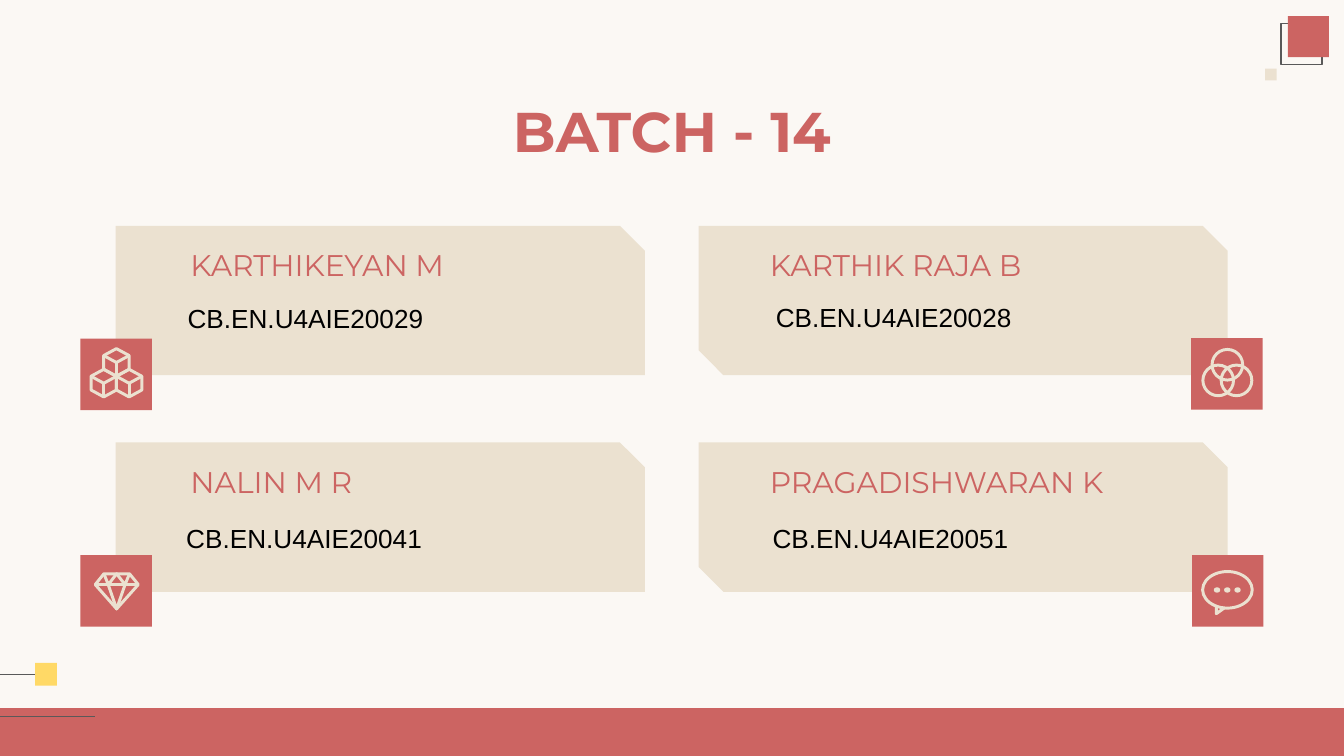
"""Build the team slide: four member cards with icon badges."""
from dataclasses import dataclass
from typing import Any, Callable

from lxml.etree import SubElement
from pptx import Presentation
from pptx.dml.color import RGBColor
from pptx.enum.shapes import MSO_CONNECTOR as CONN, MSO_SHAPE as SHAPE
from pptx.enum.text import MSO_ANCHOR as ANCHOR, MSO_AUTO_SIZE as AUTO, PP_ALIGN as ALIGN
from pptx.oxml.ns import qn
from pptx.util import Pt

RED, SAND, CREAM = "CC6462", "EBE1D0", "FBF8F4"
GREY, YELLOW, BLACK = "595959", "FFD966", "000000"
CARD_W, CARD_H, BADGE = 283.5, 80, 38.3
STROKE = 1.6

Point = tuple[float, float]


@dataclass(frozen=True)
class Box:
    x: float
    y: float
    w: float
    h: float


@dataclass(frozen=True)
class Member:
    name: str
    roll: str
    card: Point
    badge: Point
    name_x: float
    roll_box: Box
    roll_format: dict[str, Any]
    icon: Callable[[Any, Point], None]


def rgb(color: str) -> RGBColor:
    """Turn a hex string into a colour."""
    return RGBColor.from_string(color)


def paint(sp: Any, fill: str | None = None, line: str | None = None, width: float = 0.75) -> None:
    """Set the fill and outline of a shape and drop its shadow."""
    sp.shadow.inherit = False
    if fill:
        sp.fill.solid()
        sp.fill.fore_color.rgb = rgb(fill)
    else:
        sp.fill.background()
    if line:
        sp.line.color.rgb = rgb(line)
        sp.line.width = Pt(width)
    else:
        sp.line.fill.background()


def add_shape(s: Any, kind: SHAPE, box: Box, fill: str | None = None,
              line: str | None = None, width: float = 0.75) -> Any:
    """Add a preset shape."""
    sp = s.shapes.add_shape(kind, Pt(box.x), Pt(box.y), Pt(box.w), Pt(box.h))
    paint(sp, fill, line, width)
    return sp


def add_line(s: Any, x1: float, x2: float, y: float) -> Any:
    """Add a thin horizontal line."""
    cn = s.shapes.add_connector(CONN.STRAIGHT, Pt(x1), Pt(y), Pt(x2), Pt(y))
    cn.line.color.rgb = rgb(GREY)
    cn.line.width = Pt(0.75)
    SubElement(cn._element.spPr, qn("a:effectLst"))
    return cn


def add_stroke(s: Any, origin: Point, points: list[Point], close: bool = False) -> None:
    """Add an unfilled outline through points given from the badge corner."""
    pts = [(Pt(origin[0] + x), Pt(origin[1] + y)) for x, y in points]
    fb = s.shapes.build_freeform(*pts[0])
    fb.add_line_segments(pts[1:], close=close)
    paint(fb.convert_to_shape(), line=SAND, width=STROKE)


def add_oval(s: Any, origin: Point, center: Point, rx: float, ry: float, solid: bool = False) -> None:
    """Add a ring or a dot centred at a point given from the badge corner."""
    box = Box(origin[0] + center[0] - rx, origin[1] + center[1] - ry, 2 * rx, 2 * ry)
    add_shape(s, SHAPE.OVAL, box, SAND if solid else None, None if solid else SAND, STROKE)


def draw_cubes(s: Any, o: Point) -> None:
    """Draw three stacked cubes."""
    w, r = 6.8, 7.4
    for cx, cy in ((19.3, 12.8), (19.3 - w, 12.8 + 1.5 * r), (19.3 + w, 12.8 + 1.5 * r)):
        hexagon = [(0, -r), (w, -r / 2), (w, r / 2), (0, r), (-w, r / 2), (-w, -r / 2)]
        add_stroke(s, o, [(cx + x, cy + y) for x, y in hexagon], close=True)
        add_stroke(s, o, [(cx - w, cy - r / 2), (cx, cy), (cx + w, cy - r / 2)])
        add_stroke(s, o, [(cx, cy), (cx, cy + r)])


def draw_rings(s: Any, o: Point) -> None:
    """Draw three overlapping rings."""
    for center in ((19.4, 14.2), (14.5, 22.6), (24.3, 22.6)):
        add_oval(s, o, center, 8.2, 8.2)


def draw_diamond(s: Any, o: Point) -> None:
    """Draw a cut diamond."""
    left, right, tip = (7.9, 15.8), (31, 15.8), (19.4, 28.8)
    top_left, top_right = (12.6, 10), (26.3, 10)
    inner_left, inner_right = (14.9, 15.8), (23.9, 15.8)
    add_stroke(s, o, [top_left, top_right, right, tip, left], close=True)
    add_stroke(s, o, [left, right])
    add_stroke(s, o, [top_left, inner_left, (19.4, 10), inner_right, top_right])
    add_stroke(s, o, [inner_left, tip, inner_right])


def draw_bubble(s: Any, o: Point) -> None:
    """Draw a speech bubble with three dots."""
    add_oval(s, o, (19, 18.6), 13.3, 9.8)
    add_stroke(s, o, [(13, 27.2), (13, 31.4), (17.4, 28.3)])
    for i in range(3):
        add_oval(s, o, (13.4 + 5.5 * i, 18.7), 1.7, 1.45, solid=True)


def set_text(sp: Any, text: str, size: float, font: str, color: str,
             anchor: ANCHOR, bold: bool = False, **para: Any) -> None:
    """Write one formatted paragraph into a shape."""
    tf = sp.text_frame
    frame = {"word_wrap": True, "auto_size": AUTO.NONE, "vertical_anchor": anchor}
    frame |= {f"margin_{side}": Pt(7.2) for side in ("left", "top", "right", "bottom")}
    p = tf.paragraphs[0]
    r = p.add_run()
    r.text = text
    r.font.color.rgb = rgb(color)
    style = {"size": Pt(size), "name": font, "bold": bold}
    for target, values in ((tf, frame), (p, para), (r.font, style)):
        for key, value in values.items():
            setattr(target, key, value)


def add_text(s: Any, box: Box, *args: Any, **para: Any) -> None:
    """Add a text box holding one paragraph."""
    set_text(s.shapes.add_textbox(Pt(box.x), Pt(box.y), Pt(box.w), Pt(box.h)), *args, **para)


def add_member(s: Any, m: Member) -> None:
    """Draw one card with its badge, icon, name and roll number."""
    add_shape(s, SHAPE.SNIP_2_DIAG_RECTANGLE, Box(*m.card, CARD_W, CARD_H), SAND)
    add_shape(s, SHAPE.RECTANGLE, Box(*m.badge, BADGE, BADGE), RED)
    m.icon(s, m.badge)
    add_text(s, Box(m.name_x, m.card[1] + 9.6, 257, 28), m.name, 16, "Montserrat", RED, ANCHOR.BOTTOM)
    add_text(s, m.roll_box, m.roll, 14, "Arial", BLACK, ANCHOR.TOP, **m.roll_format)


def add_decor(s: Any) -> None:
    """Draw the footer band and the corner ornaments."""
    add_shape(s, SHAPE.RECTANGLE, Box(0, 379.4, 720, 25.6), RED)
    add_shape(s, SHAPE.RECTANGLE, Box(686.3, 12.5, 22, 22), line=GREY)
    add_shape(s, SHAPE.RECTANGLE, Box(690, 8.7, 22, 22), RED)
    add_shape(s, SHAPE.RECTANGLE, Box(677.7, 36.8, 6.3, 6.3), SAND)
    square = add_shape(s, SHAPE.RECTANGLE, Box(18.8, 355.2, 11.7, 12.2), YELLOW)
    add_line(s, 0, 18.8, 361.3).end_connect(square, 1)
    add_line(s, 0, 51, 383.8)


CENTER = {"alignment": ALIGN.CENTER}
LOOSE = {"alignment": ALIGN.LEFT, "line_spacing": 1.15}
COL_1, COL_2, ROW_1, ROW_2 = 62, 374.2, 121, 237.1
MEMBERS = [
    Member("KARTHIKEYAN M", "CB.EN.U4AIE20029", (COL_1, ROW_1), (43.1, 181.4), 95,
           Box(35.2, 154.8, 257, 54.7), CENTER, draw_cubes),
    Member("KARTHIK RAJA B", "CB.EN.U4AIE20028", (COL_2, ROW_1), (638.1, 181.2), 405.4,
           Box(366.5, 154.1, 224.6, 54.7), CENTER, draw_rings),
    Member("NALIN M R", "CB.EN.U4AIE20041", (COL_1, ROW_2), (43.1, 297.4), 95,
           Box(92.7, 270, 257, 54.7), LOOSE, draw_diamond),
    Member("PRAGADISHWARAN K", "CB.EN.U4AIE20051", (COL_2, ROW_2), (638.6, 297.4), 405.4,
           Box(406.8, 270, 224.6, 54.7), LOOSE, draw_bubble),
]


def main() -> None:
    """Build and save the slide."""
    prs = Presentation()
    prs.slide_width, prs.slide_height = Pt(720), Pt(405)
    s = prs.slides.add_slide(prs.slide_layouts[5])
    s.background.fill.solid()
    s.background.fill.fore_color.rgb = rgb(CREAM)
    add_decor(s)
    title = s.shapes.title
    for key, value in {"left": 50.4, "top": 46.8, "width": 619.2, "height": 45.4}.items():
        setattr(title, key, Pt(value))
    set_text(title, "BATCH - 14", 30, "Montserrat", RED, ANCHOR.MIDDLE, bold=True, **CENTER)
    for member in MEMBERS:
        add_member(s, member)
    prs.save("out.pptx")


if __name__ == "__main__":
    main()
